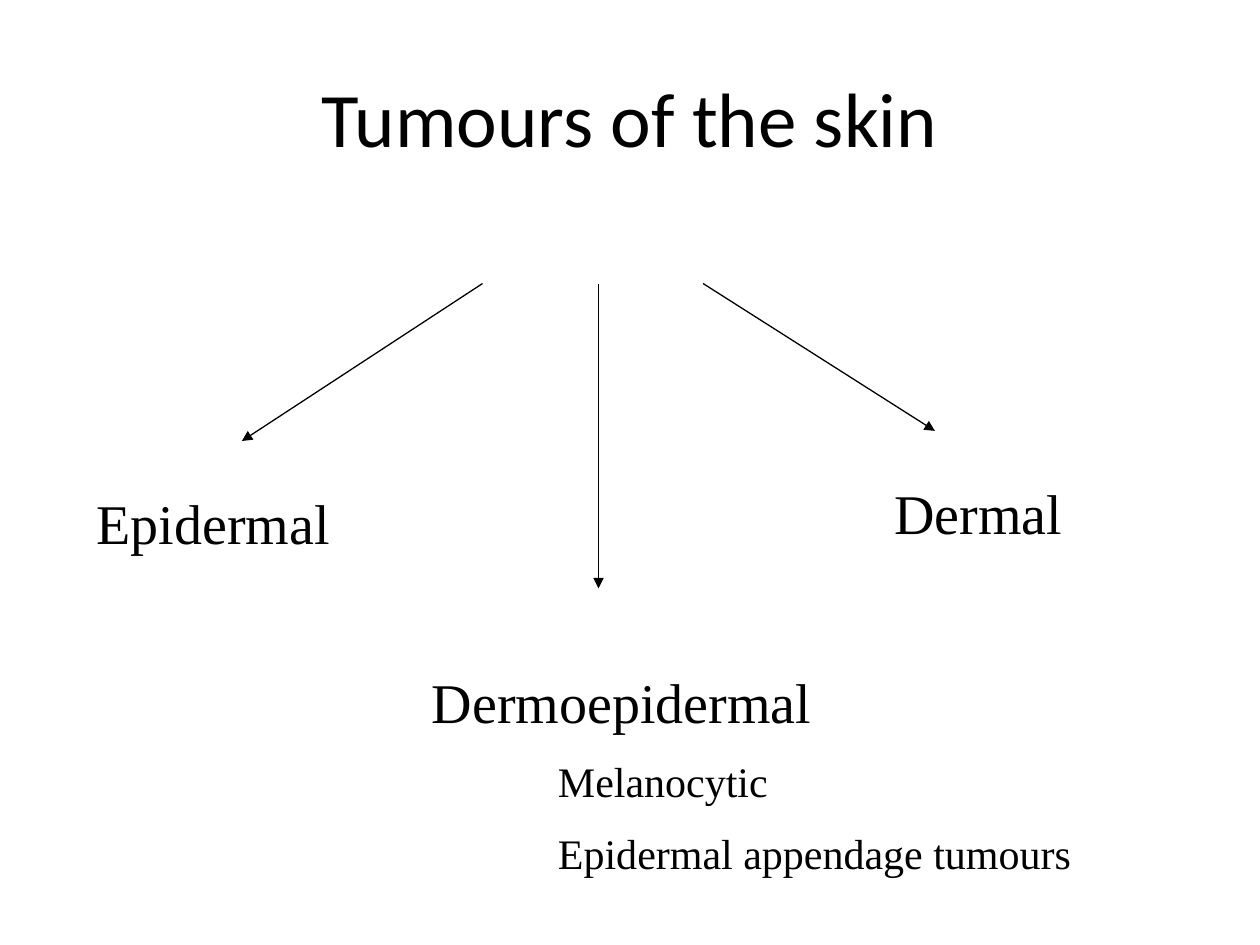
from lxml import etree
from pptx import Presentation
from pptx.dml.color import RGBColor
from pptx.enum.shapes import MSO_CONNECTOR
from pptx.enum.text import MSO_ANCHOR, MSO_AUTO_SIZE, PP_ALIGN
from pptx.oxml.ns import qn
from pptx.util import Inches, Pt

BLACK = RGBColor(0x00, 0x00, 0x00)
WHITE = RGBColor(0xFF, 0xFF, 0xFF)


class Deck:
    title_font = "Calibri"
    body_font = "Times New Roman"

    def __init__(self, prs):
        self.s = prs.slides.add_slide(prs.slide_layouts[5])
        self.s.background.fill.solid()
        self.s.background.fill.fore_color.rgb = WHITE

    def add_run(self, p, text, size, font):
        r = p.add_run()
        r.text = text
        r.font.size = Pt(size)
        r.font.name = font
        r.font.color.rgb = BLACK

    def title(self, text, x, y, w, h):
        sp = self.s.shapes.title
        sp.left, sp.top, sp.width, sp.height = map(Inches, (x, y, w, h))
        tf = sp.text_frame
        tf.vertical_anchor = MSO_ANCHOR.MIDDLE
        p = tf.paragraphs[0]
        p.alignment = PP_ALIGN.CENTER
        self.add_run(p, text, 44, self.title_font)

    def label(self, lines, x, y, w, h):
        """Add a text box from (text, size) lines; later lines get a tab stop."""
        sp = self.s.shapes.add_textbox(*map(Inches, (x, y, w, h)))
        tf = sp.text_frame
        tf.word_wrap = True
        tf.auto_size = MSO_AUTO_SIZE.SHAPE_TO_FIT_TEXT
        for i, (text, size) in enumerate(lines):
            p = tf.add_paragraph() if i else tf.paragraphs[0]
            if i:
                p.space_before = Pt(12)
                tabs = etree.SubElement(p._p.get_or_add_pPr(), qn("a:tabLst"))
                etree.SubElement(tabs, qn("a:tab"), pos=str(Inches(1)), algn="l")
            self.add_run(p, text, size, self.body_font)

    def arrow(self, x1, y1, x2, y2):
        cn = self.s.shapes.add_connector(
            MSO_CONNECTOR.STRAIGHT, *map(Inches, (x1, y1, x2, y2)))
        cn.line.color.rgb = BLACK
        cn.line.width = Pt(0.75)
        ln = cn.line._get_or_add_ln()
        etree.SubElement(ln, qn("a:tailEnd"), type="triangle")
        etree.SubElement(cn._element.spPr, qn("a:effectLst"))


def main():
    prs = Presentation()
    prs.slide_width, prs.slide_height = Inches(10), Inches(7.5)
    deck = Deck(prs)

    deck.title("Tumours of the skin", 0.5, 0.3, 9, 1.25)

    # Arrows from the title to the three groups
    top = 2.25
    for x1, x2, y2 in [(3.83, 1.92, 3.5), (5.58, 7.42, 3.42), (4.75, 4.75, 4.67)]:
        deck.arrow(x1, top, x2, y2)

    # Tumour groups
    deck.label([("Epidermal", 32)], 0.67, 3.83, 3.83, 0.63)
    deck.label([("Dermal", 32)], 7, 3.75, 2.33, 0.63)
    deck.label([("Dermoepidermal", 32),
                ("\tMelanocytic", 24),
                ("\tEpidermal appendage tumours", 24)], 3.33, 5.25, 5.42, 2.43)

    prs.save("out.pptx")


if __name__ == "__main__":
    main()
